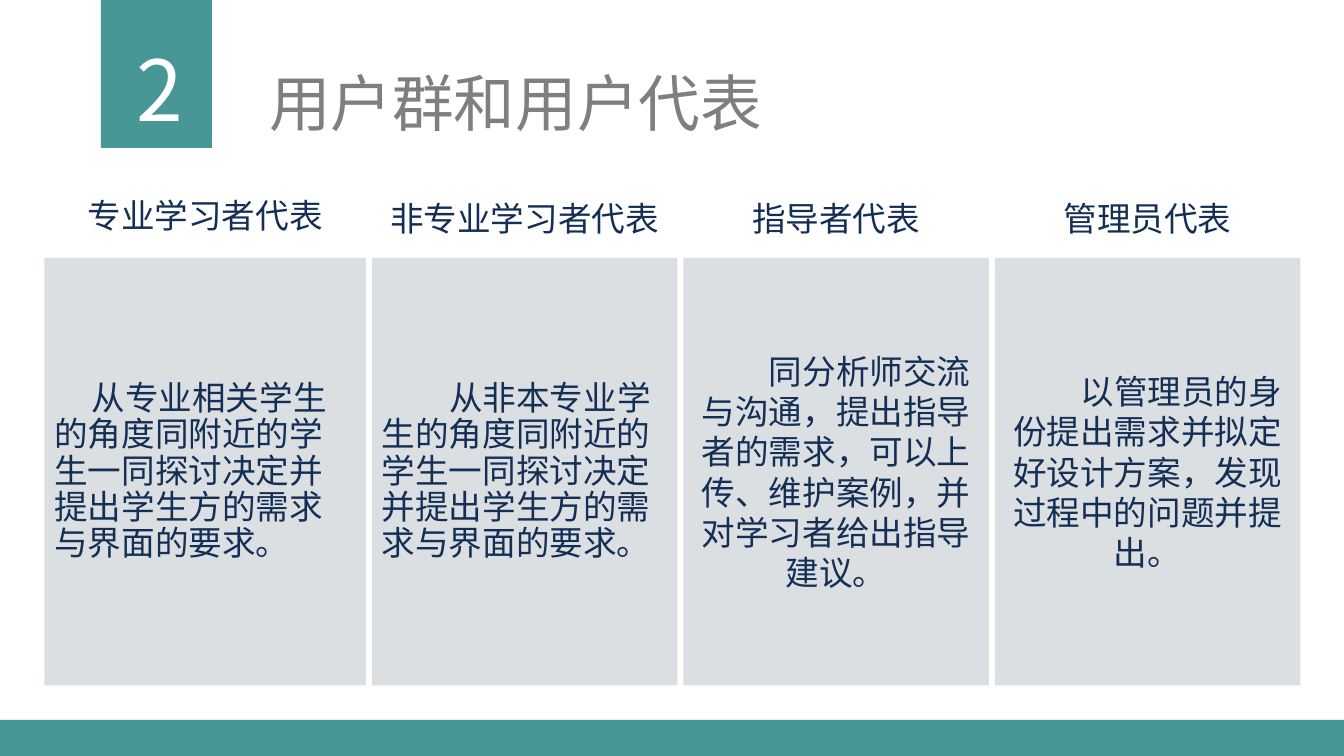
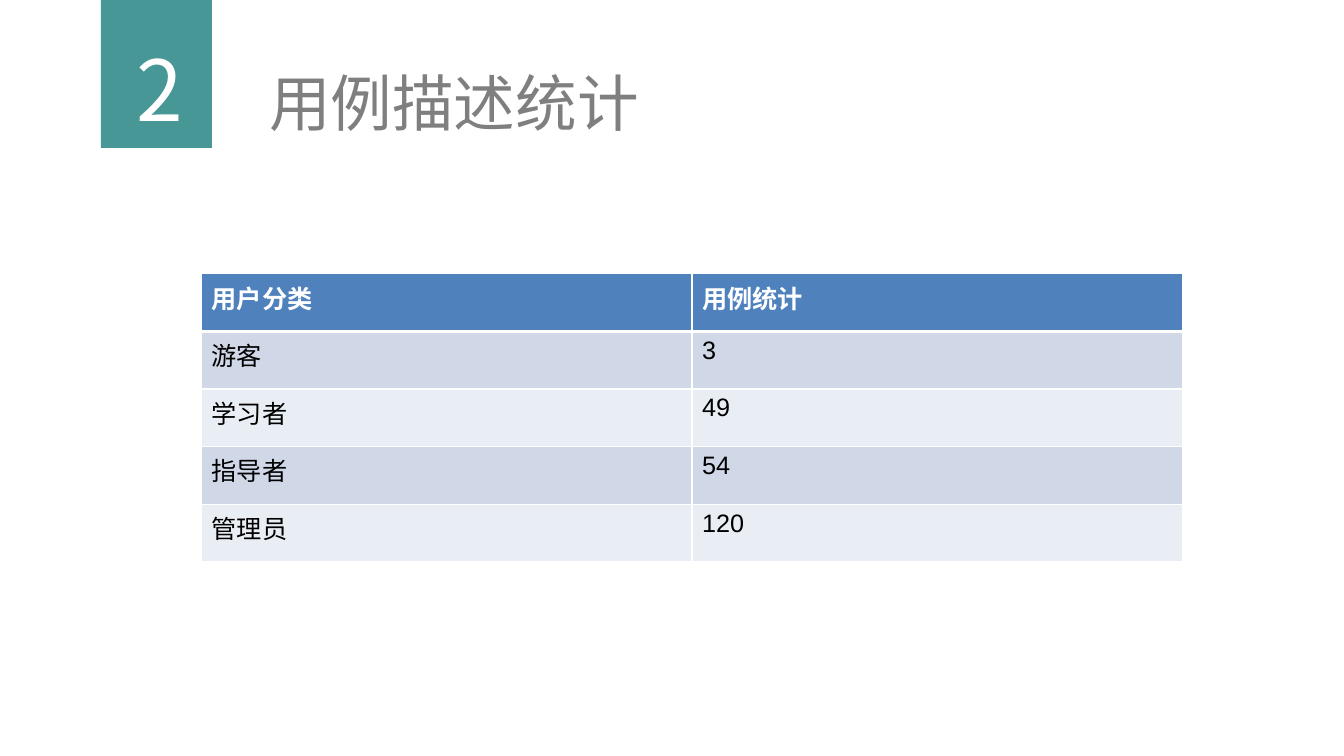
"""Build two slides on user groups and use case counts."""
from dataclasses import dataclass

from lxml.etree import SubElement
from pptx import Presentation
from pptx.dml.color import RGBColor
from pptx.enum.shapes import MSO_SHAPE
from pptx.enum.text import MSO_ANCHOR, MSO_AUTO_SIZE, PP_ALIGN
from pptx.oxml.ns import qn
from pptx.util import Cm, Pt

PART = "2"
TITLES = ("用户群和用户代表", "用例描述统计")
CARDS = (
    dict(head="专业学习者代表", top=4.78, wide=8.1, dent=0.94, lead=1.08, side=PP_ALIGN.LEFT,
         body="从专业相关学生的角度同附近的学生一同探讨决定并提出学生方的需求与界面的要求。"),
    dict(head="非专业学习者代表", top=4.85, wide=7.7, dent=1.7, lead=1.08, side=PP_ALIGN.LEFT,
         body="从非本专业学生的角度同附近的学生一同探讨决定并提出学生方的需求与界面的要求。"),
    dict(head="指导者代表", top=4.85, wide=7.7, dent=1.7, lead=1.2, side=PP_ALIGN.CENTER,
         body="同分析师交流与沟通，提出指导者的需求，可以上传、维护案例，并对学习者给出指导建议。"),
    dict(head="管理员代表", top=4.85, wide=7.7, dent=1.7, lead=1.2, side=PP_ALIGN.CENTER,
         body="以管理员的身份提出需求并拟定好设计方案，发现过程中的问题并提出。"),
)
ROWS = (
    ("用户分类", "用例统计"),
    ("游客", "3"),
    ("学习者", "49"),
    ("指导者", "54"),
    ("管理员", "120"),
)


@dataclass(frozen=True)
class Theme:
    """Hold colours, fonts and type sizes."""
    teal: str = "479796"
    gray: str = "7F7F7F"
    navy: str = "132F55"
    pale: str = "DCDFE2"
    white: str = "FFFFFF"
    black: str = "000000"
    blue: str = "4F81BD"
    bands: tuple = ("E9EDF4", "D0D8E8")
    cjk: str = "Noto Sans CJK SC"
    digit: str = "Noto Sans CJK KR"
    sans: str = "Arial"
    prose: str = "Calibri"
    huge: int = 60
    title: int = 44
    text: int = 24
    cell: int = 18


T = Theme()


def write(frame, text, size=T.text, font=T.sans, color=T.navy, bold=False,
          side=PP_ALIGN.LEFT, anchor=MSO_ANCHOR.TOP, lead=1.2, dent=0):
    """Put one formatted paragraph in a text frame."""
    frame.word_wrap = True
    frame.vertical_anchor = anchor
    para = frame.paragraphs[0]
    para.alignment = side
    if lead:
        frame.auto_size = MSO_AUTO_SIZE.NONE
        para.line_spacing = Pt(lead * size)
    if dent:
        para._p.get_or_add_pPr().set("indent", str(Cm(dent)))
    run = para.add_run()
    run.text = text
    run.font.size = Pt(size)
    run.font.bold = bold
    run.font.color.rgb = RGBColor.from_string(color)
    run.font.name = font
    SubElement(run._r.get_or_add_rPr(), qn("a:ea"), typeface=T.cjk)


def block(slide, box, color):
    """Add a plain filled rectangle."""
    shape = slide.shapes.add_shape(MSO_SHAPE.RECTANGLE, *map(Cm, box))
    shape.shadow.inherit = False
    shape.fill.solid()
    shape.fill.fore_color.rgb = RGBColor.from_string(color)
    shape.line.fill.background()
    return shape


def label(slide, box, text, **form):
    """Add a text box."""
    write(slide.shapes.add_textbox(*map(Cm, box)).text_frame, text, **form)


def start(deck, text):
    """Add a slide with its number tab and title."""
    slide = deck.slides.add_slide(deck.slide_layouts[5])
    block(slide, (2.54, 0, 2.8, 3.73), T.teal)
    label(slide, (2.62, 0.81, 2.8, 2.82), PART, size=T.huge, font=T.digit,
          color=T.white, side=PP_ALIGN.CENTER)
    title = slide.shapes.title
    title.left, title.top, title.width, title.height = map(Cm, (6.53, 1.5, 17.6, 2.13))
    write(title.text_frame, text, size=T.title, font=T.cjk, color=T.gray)
    return slide


def edge(cell, last):
    """Draw white cell borders, thick below the header."""
    props = cell._tc.get_or_add_tcPr()
    for tag, width in (("lnL", 1), ("lnR", 1), ("lnT", 1), ("lnB", last)):
        line = SubElement(props, qn(f"a:{tag}"), w=str(Pt(width)))
        fill = SubElement(line, qn("a:solidFill"))
        SubElement(fill, qn("a:srgbClr"), val=T.white)


def groups(deck):
    """Build the slide of user group cards."""
    slide = start(deck, TITLES[0])
    block(slide, (0, 18.14, 33.87, 0.91), T.teal)
    left, gap = 1.12, 0.15
    for card in CARDS:
        wide = card["wide"]
        panel = block(slide, (left, 6.5, wide, 10.77), T.pale)
        write(panel.text_frame, card["body"], font=T.prose, anchor=MSO_ANCHOR.MIDDLE,
              side=card["side"], lead=card["lead"], dent=card["dent"])
        label(slide, (left, card["top"], wide, 1.27), card["head"], side=PP_ALIGN.CENTER)
        left += wide + gap


def counts(deck):
    """Build the slide of use case counts."""
    slide = start(deck, TITLES[1])
    box = map(Cm, (5.08, 6.9, 24.72, 7.26))
    table = slide.shapes.add_table(len(ROWS), len(ROWS[0]), *box).table
    for r, row in enumerate(ROWS):
        top = r == 0
        for c, text in enumerate(row):
            cell = table.cell(r, c)
            edge(cell, 3 if top else 1)
            cell.fill.solid()
            cell.fill.fore_color.rgb = RGBColor.from_string(T.blue if top else T.bands[r % 2])
            write(cell.text_frame, text, size=T.cell, bold=top, lead=None,
                  color=T.white if top else T.black)


def main():
    """Build and save the deck."""
    deck = Presentation()
    deck.slide_width, deck.slide_height = Cm(33.87), Cm(19.05)
    groups(deck)
    counts(deck)
    deck.save("out.pptx")


if __name__ == "__main__":
    main()
